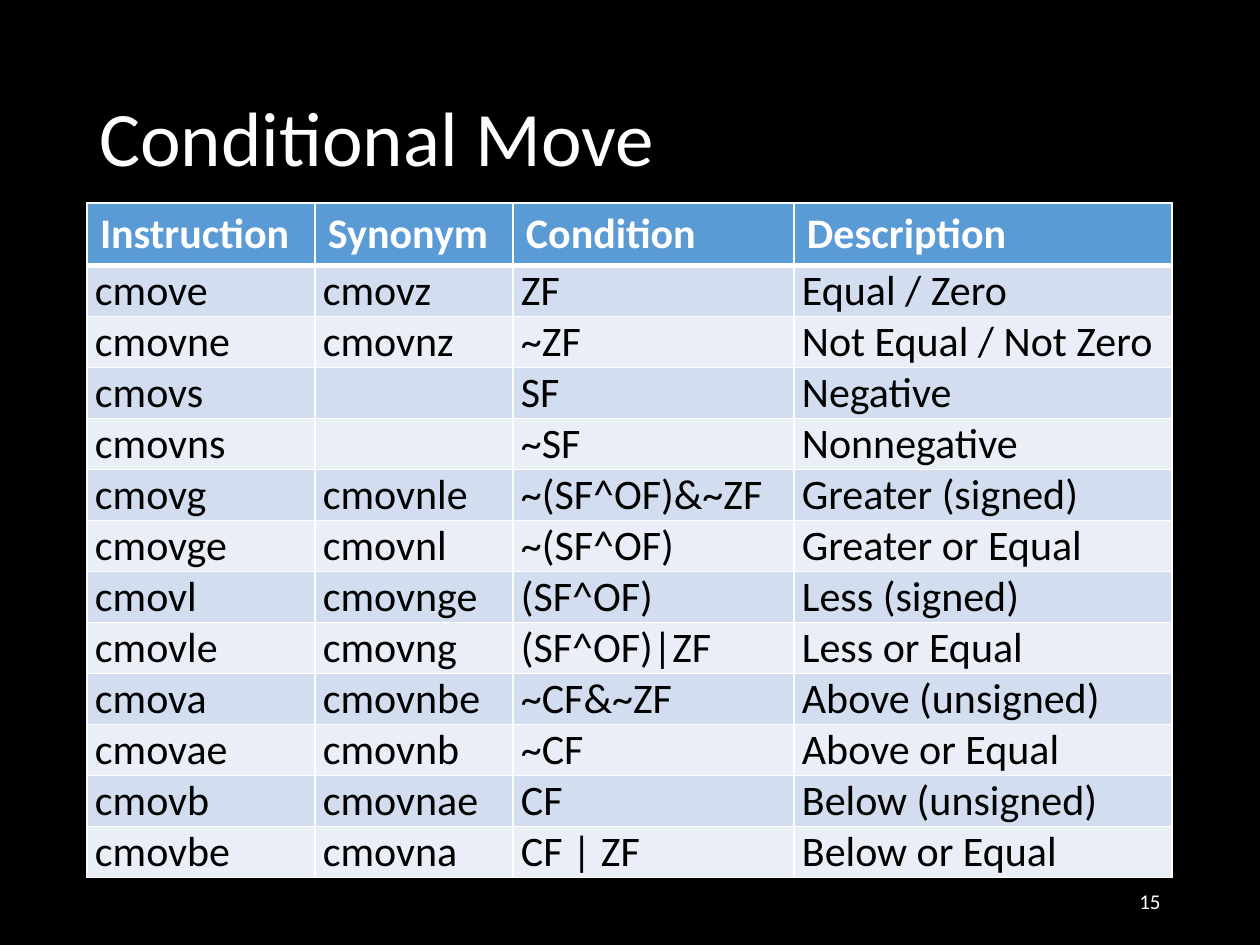
from dataclasses import dataclass

from lxml import etree
from pptx import Presentation
from pptx import util as u
from pptx.dml import color
from pptx.enum import text as t
from pptx.oxml import ns

PX = u.Inches(1) / 126  # one scale: EMU in a px


def px(length):
    return u.Emu(round(length * PX))


@dataclass(frozen=True)
class Theme:
    font: str = "Calibri"
    background: str = "000000"
    light: str = "FFFFFF"
    dark: str = "000000"
    header: str = "5B9BD5"
    bands: tuple = ("D2DEEF", "EAEFF7")
    title_size: int = 44
    table_size: int = 24
    number_size: int = 12


def write(frame, text, *, size, ink, font, bold=False, align=t.PP_ALIGN.LEFT, spacing=1.0):
    paragraph = frame.paragraphs[0]
    paragraph.alignment = align
    paragraph.line_spacing = spacing
    run = paragraph.add_run()
    run.text = text
    run.font.name = font
    run.font.size = u.Pt(size)
    run.font.bold = bold
    run.font.color.rgb = color.RGBColor.from_string(ink)


def border(cell, side, width, ink):
    line = etree.SubElement(cell.fill._xPr, ns.qn(f"a:{side}"), w=str(u.Pt(width)))
    solid = etree.SubElement(line, ns.qn("a:solidFill"))
    etree.SubElement(solid, ns.qn("a:srgbClr"), val=ink)


class Deck:
    def __init__(self, theme):
        self.theme = theme
        self.file = Presentation()
        self.file.slide_width, self.file.slide_height = px(1260), px(945)
        self.slide = self.file.slides.add_slide(self.file.slide_layouts[6])
        backdrop = self.slide.background.fill
        backdrop.solid()
        backdrop.fore_color.rgb = color.RGBColor.from_string(theme.background)

    def label(self, text, left, top, width, height, **style):
        frame = self.slide.shapes.add_textbox(*map(px, (left, top, width, height))).text_frame
        frame.word_wrap = True
        frame.vertical_anchor = t.MSO_ANCHOR.MIDDLE
        write(frame, text, ink=self.theme.light, font=self.theme.font, **style)

    def cell(self, cell, text, *, fill, ink, bold, inset, below):
        cell.margin_left = cell.margin_right = px(inset[0])
        cell.margin_top = cell.margin_bottom = px(inset[1])
        if text:
            write(cell.text_frame, text, size=self.theme.table_size, ink=ink,
                  font=self.theme.font, bold=bold)
        # Borders come before the fill in the cell properties
        for side, width in (("lnL", 1), ("lnR", 1), ("lnT", 1), ("lnB", below)):
            border(cell, side, width, self.theme.light)
        cell.fill.solid()
        cell.fill.fore_color.rgb = color.RGBColor.from_string(fill)

    def table(self, headings, rows, left, top, widths, row_height):
        theme = self.theme
        lines = [headings, *rows]
        grid = self.slide.shapes.add_table(
            len(lines), len(widths), px(left), px(top),
            px(sum(widths)), px(row_height * len(lines))).table
        for column, width in zip(grid.columns, widths):
            column.width = px(width)
        for r, line in enumerate(lines):
            grid.rows[r].height = px(row_height)
            if r == 0:
                look = dict(fill=theme.header, ink=theme.light, bold=True,
                            inset=(13, 6), below=3)
            else:
                look = dict(fill=theme.bands[(r - 1) % 2], ink=theme.dark, bold=False,
                            inset=(8, 0), below=1)
                if r == 1:
                    # The first row shares the heavy rule under the headings
                    pass
            for c, text in enumerate(line):
                self.cell(grid.cell(r, c), text, **look)


HEADINGS = ("Instruction", "Synonym", "Condition", "Description")
MOVES = (
    ("cmove", "cmovz", "ZF", "Equal / Zero"),
    ("cmovne", "cmovnz", "~ZF", "Not Equal / Not Zero"),
    ("cmovs", "", "SF", "Negative"),
    ("cmovns", "", "~SF", "Nonnegative"),
    ("cmovg", "cmovnle", "~(SF^OF)&~ZF", "Greater (signed)"),
    ("cmovge", "cmovnl", "~(SF^OF)", "Greater or Equal"),
    ("cmovl", "cmovnge", "(SF^OF)", "Less (signed)"),
    ("cmovle", "cmovng", "(SF^OF)|ZF", "Less or Equal"),
    ("cmova", "cmovnbe", "~CF&~ZF", "Above (unsigned)"),
    ("cmovae", "cmovnb", "~CF", "Above or Equal"),
    ("cmovb", "cmovnae", "CF", "Below (unsigned)"),
    ("cmovbe", "cmovna", "CF | ZF", "Below or Equal"),
)


def main():
    theme = Theme()
    deck = Deck(theme)
    # Title
    deck.label("Conditional Move", 87, 50, 1086, 183, size=theme.title_size, spacing=0.9)
    # Slide number
    deck.label("15", 890, 876, 283, 50, size=theme.number_size, align=t.PP_ALIGN.RIGHT)
    # Conditional move instructions
    deck.table(HEADINGS, MOVES, 87, 203, (228, 198, 281, 378), 51)
    deck.file.save("out.pptx")


if __name__ == "__main__":
    main()
